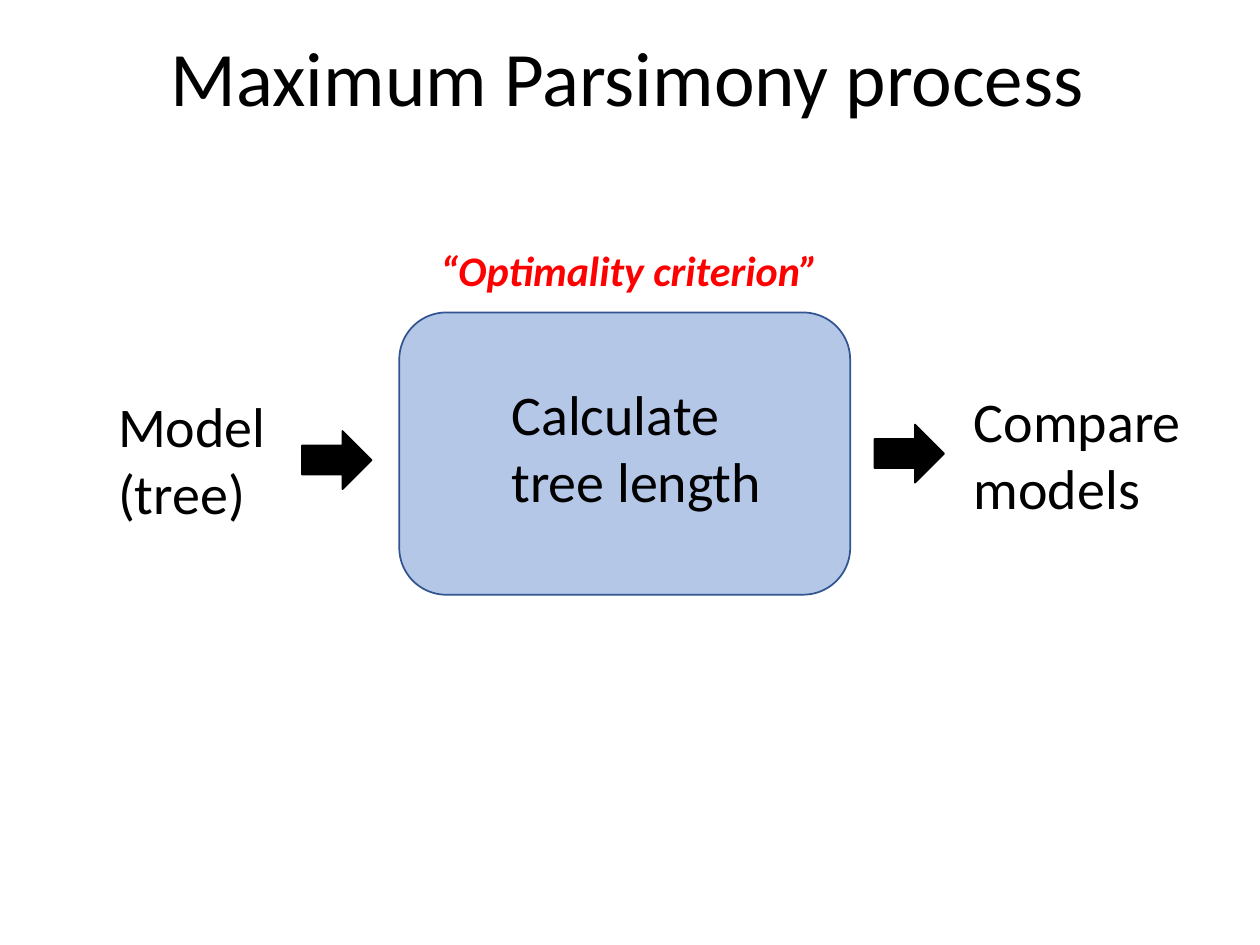
from pptx import Presentation
from pptx import util as u
from pptx.dml.color import RGBColor
from pptx.enum import shapes, text

BLACK = RGBColor(0x00, 0x00, 0x00)
RED = RGBColor(0xFF, 0x00, 0x00)
PALE_BLUE = RGBColor(0xB4, 0xC7, 0xE7)
DARK_BLUE = RGBColor(0x32, 0x54, 0x91)


def add_text(page, words, left, top, width, height, size=32, color=BLACK,
             bold=False, italic=False, wrap=True, align=text.PP_ALIGN.LEFT,
             anchor=text.MSO_ANCHOR.TOP, spacing=1.0):
    """Place one paragraph of text; lengths are in centimetres."""
    box = page.shapes.add_textbox(u.Cm(left), u.Cm(top), u.Cm(width), u.Cm(height))
    frame = box.text_frame
    frame.word_wrap = wrap
    frame.vertical_anchor = anchor
    para = frame.paragraphs[0]
    para.alignment = align
    para.line_spacing = spacing
    span = para.add_run()
    span.text = words
    font = span.font
    font.name = "Calibri"
    font.size = u.Pt(size)
    font.bold = bold
    font.italic = italic
    font.color.rgb = color


def add_block(page, kind, left, top, width, height, fill, line):
    """Place a filled and outlined preset shape."""
    block = page.shapes.add_shape(kind, u.Cm(left), u.Cm(top), u.Cm(width), u.Cm(height))
    block.shadow.inherit = False
    block.fill.solid()
    block.fill.fore_color.rgb = fill
    block.line.color.rgb = line
    block.line.width = u.Pt(1)


def add_title(page, left, top, width, height):
    add_text(page, "Maximum Parsimony process", left, top, width, height, size=44,
             align=text.PP_ALIGN.CENTER, anchor=text.MSO_ANCHOR.MIDDLE, spacing=0.9)


def add_criterion(page, left, top, width, height):
    # Rounded box with its label above and its step inside
    add_block(page, shapes.MSO_SHAPE.ROUNDED_RECTANGLE, left, top, width, height,
              PALE_BLUE, DARK_BLUE)
    add_text(page, "Calculate tree length", left + 2.01, top + 1.22, 6.05, 3)
    add_text(page, "“Optimality criterion”", left + 0.58, top - 1.5, 8.2, 1.27,
             size=24, color=RED, bold=True, italic=True, wrap=False)


def add_arrow(page, left, top):
    add_block(page, shapes.MSO_SHAPE.RIGHT_ARROW, left, top, 1.4, 1.17, BLACK, BLACK)


def add_process(page, left, top):
    # Input, criterion and output, from left to right
    add_text(page, "Model (tree)", left, top + 1.47, 3.94, 3)
    add_arrow(page, left + 3.96, top + 2.39)
    add_criterion(page, left + 5.92, top, 9.09, 5.69)
    add_arrow(page, left + 15.5, top + 2.26)
    add_text(page, "Compare models", left + 17.25, top + 1.37, 4.78, 3)


def main():
    deck = Presentation()
    deck.slide_width, deck.slide_height = u.Cm(25.4), u.Cm(19.05)
    page = deck.slides.add_slide(deck.slide_layouts[6])
    add_title(page, 2.62, 0.48, 20.07, 2.31)
    add_process(page, 2.13, 6.3)
    deck.save("out.pptx")


if __name__ == "__main__":
    main()
